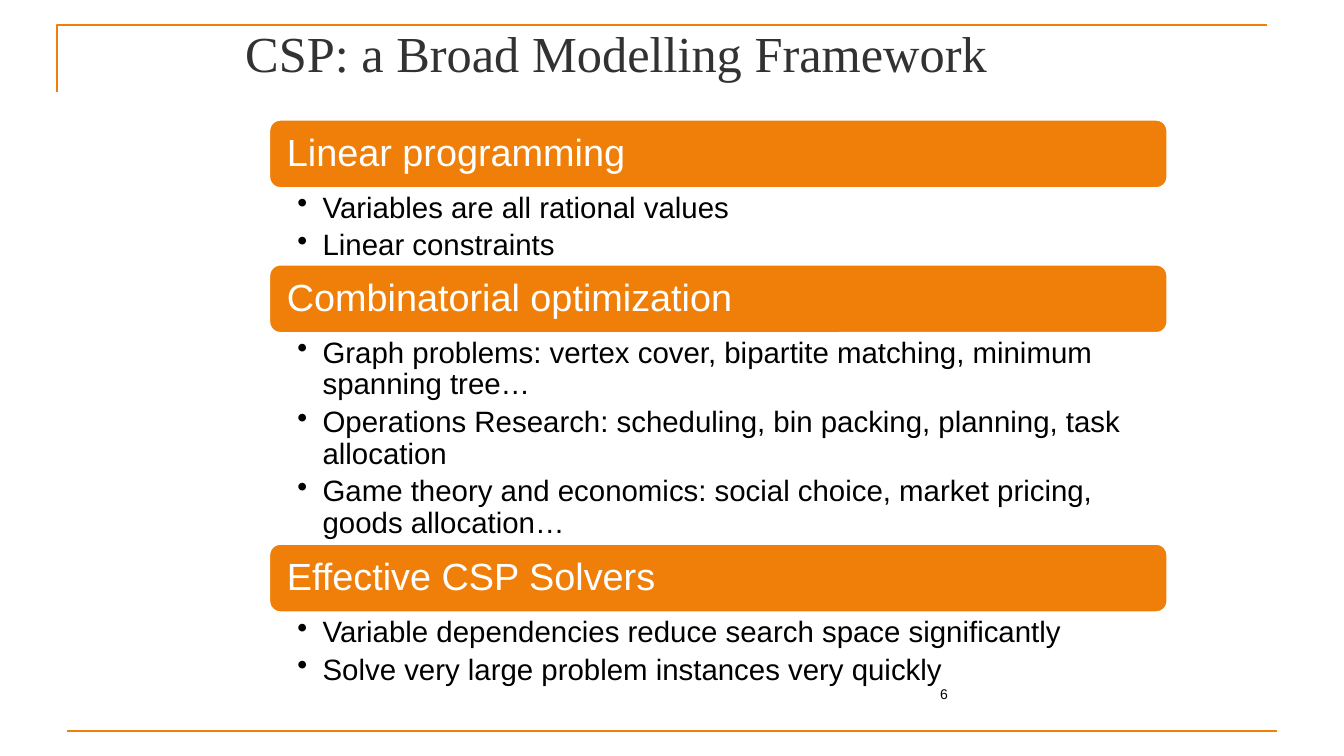
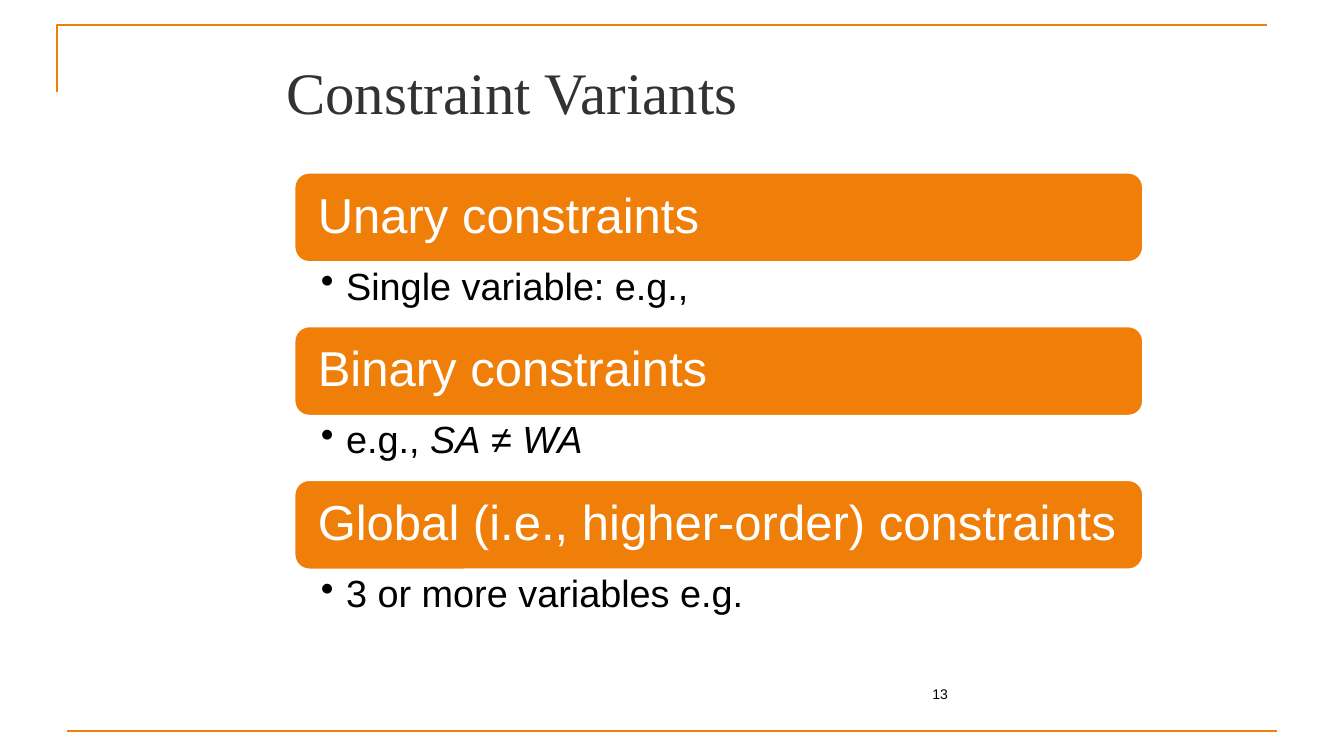
from lxml import etree
from pptx import Presentation
from pptx.dml.color import RGBColor
from pptx.enum.shapes import MSO_CONNECTOR, MSO_SHAPE
from pptx.enum.text import MSO_ANCHOR, PP_ALIGN
from pptx.oxml.ns import qn
from pptx.util import Inches, Pt

ORANGE = RGBColor(0xF0, 0x7F, 0x09)
WHITE = RGBColor(0xFF, 0xFF, 0xFF)
BLACK = RGBColor(0, 0, 0)
GREY = RGBColor(0x32, 0x32, 0x32)
LEFT, RIGHT = PP_ALIGN.LEFT, PP_ALIGN.RIGHT
TOP, MIDDLE = MSO_ANCHOR.TOP, MSO_ANCHOR.MIDDLE
ROUND, STRAIGHT = MSO_SHAPE.ROUNDED_RECTANGLE, MSO_CONNECTOR.STRAIGHT

deck = Presentation()
deck.slide_width, deck.slide_height = Inches(13.33), Inches(7.5)
CELL = deck.slide_height / 90  # the slide is 160 columns by 90 rows

TITLE = {"name": "Times New Roman", "color": GREY}
HEAD = {"name": "Arial", "color": WHITE}
ITEM = {"name": "Arial", "color": BLACK}
INDENT = 3

# Boxes are (left, top, width, height) and pads (left, top, right, bottom), in cells.
SLIDES = [
    {
        "title": "CSP: a Broad Modelling Framework", "size": 36,
        "box": (28, 2, 117, 14), "page": "6",
        "left": 32, "top": 14.2, "wide": 107, "bar": 8.25,
        "head": 27, "item": 21, "pad": 1.75, "inset": (3.4, 0.5, 2.5, 0.5),
        "blocks": [
            ("Linear programming", 9,
             ["Variables are all rational values", "Linear constraints"]),
            ("Combinatorial optimization", 25,
             ["Graph problems: vertex cover, bipartite matching, minimum spanning tree…",
              "Operations Research: scheduling, bin packing, planning, task allocation",
              "Game theory and economics: social choice, market pricing, goods allocation…"]),
            ("Effective CSP Solvers", 9,
             ["Variable dependencies reduce search space significantly",
              "Solve very large problem instances very quickly"]),
        ],
    },
    {
        "title": "Constraint Variants", "size": 42,
        "box": (32.9, 6, 101.1, 11), "page": "13",
        "left": 35, "top": 20.5, "wide": 101.1, "bar": 10.75,
        "head": 35, "item": 27, "pad": 2.3, "inset": (3.2, 0.6, 3.2, 0.6),
        "blocks": [
            ("Unary constraints", 7.55, ["Single variable: e.g.,"]),
            ("Binary constraints", 7.55, ["e.g., *SA* ≠ *WA*"]),
            ("Global (i.e., higher-order) constraints", 7.55,
             ["3 or more variables e.g."]),
        ],
    },
]


def grid(*cells):
    return [round(n * CELL) for n in cells]


def write(shape, lines, style, size, pad=(1.2, 0.6, 1.2, 0.6),
          anchor=TOP, align=LEFT, space=1, dots=False):
    """Fill a shape with paragraphs; text between asterisks is italic."""
    frame = shape.text_frame
    sides = ("margin_left", "margin_top", "margin_right", "margin_bottom")
    form = dict(zip(sides, grid(*pad)), word_wrap=True, vertical_anchor=anchor)
    for key, value in form.items():
        setattr(frame, key, value)
    for i, line in enumerate(lines):
        para = frame.add_paragraph() if i else frame.paragraphs[0]
        para.alignment, para.line_spacing = align, space
        if dots:
            para.space_after = Pt(size * 0.2)
            props = para._p.get_or_add_pPr()
            step, = grid(INDENT)
            props.set("marL", str(step))
            props.set("indent", str(-step))
            etree.SubElement(props, qn("a:buChar"), char="•")
        for j, part in enumerate(line.split("*")):
            if not part:
                continue
            run = para.add_run()
            run.text = part
            run.font.name, run.font.size = style["name"], Pt(size)
            run.font.color.rgb = style["color"]
            run.font.italic = j % 2 == 1


for data in SLIDES:
    slide = deck.slides.add_slide(deck.slide_layouts[6])
    shapes = slide.shapes

    # Frame lines
    pen = shapes.build_freeform(*grid(6.75, 11), scale=1.0)
    pen.add_line_segments([grid(6.75, 3), grid(150.75, 3)], close=False)
    corner = pen.convert_to_shape()
    corner.fill.background()
    corner.shadow.inherit = False
    base = shapes.add_connector(STRAIGHT, *grid(8, 87, 152, 87))
    etree.SubElement(base._element.spPr, qn("a:effectLst"))
    for rule in (corner, base):
        rule.line.color.rgb = ORANGE
        rule.line.width = Pt(1.5)

    title = shapes.add_textbox(*grid(*data["box"]))
    write(title, [data["title"]], TITLE, data["size"])

    # Heading bars, each with its list below
    left, top, wide, bar = (data[k] for k in ("left", "top", "wide", "bar"))
    for head, tall, items in data["blocks"]:
        band = shapes.add_shape(ROUND, *grid(left, top, wide, bar))
        band.shadow.inherit = False
        band.fill.solid()
        band.fill.fore_color.rgb = ORANGE
        band.line.color.rgb = WHITE
        band.line.width = Pt(2)
        write(band, [head], HEAD, data["head"], [data["pad"]] * 4, MIDDLE, space=0.9)
        body = shapes.add_textbox(*grid(left, top + bar, wide, tall))
        write(body, items, ITEM, data["item"], data["inset"], space=0.9, dots=True)
        top += bar + tall

    page = shapes.add_textbox(*grid(108.4, 80.2, 5.6, 4.8))
    write(page, [data["page"]], ITEM, 10, anchor=MIDDLE, align=RIGHT)

deck.save("out.pptx")
